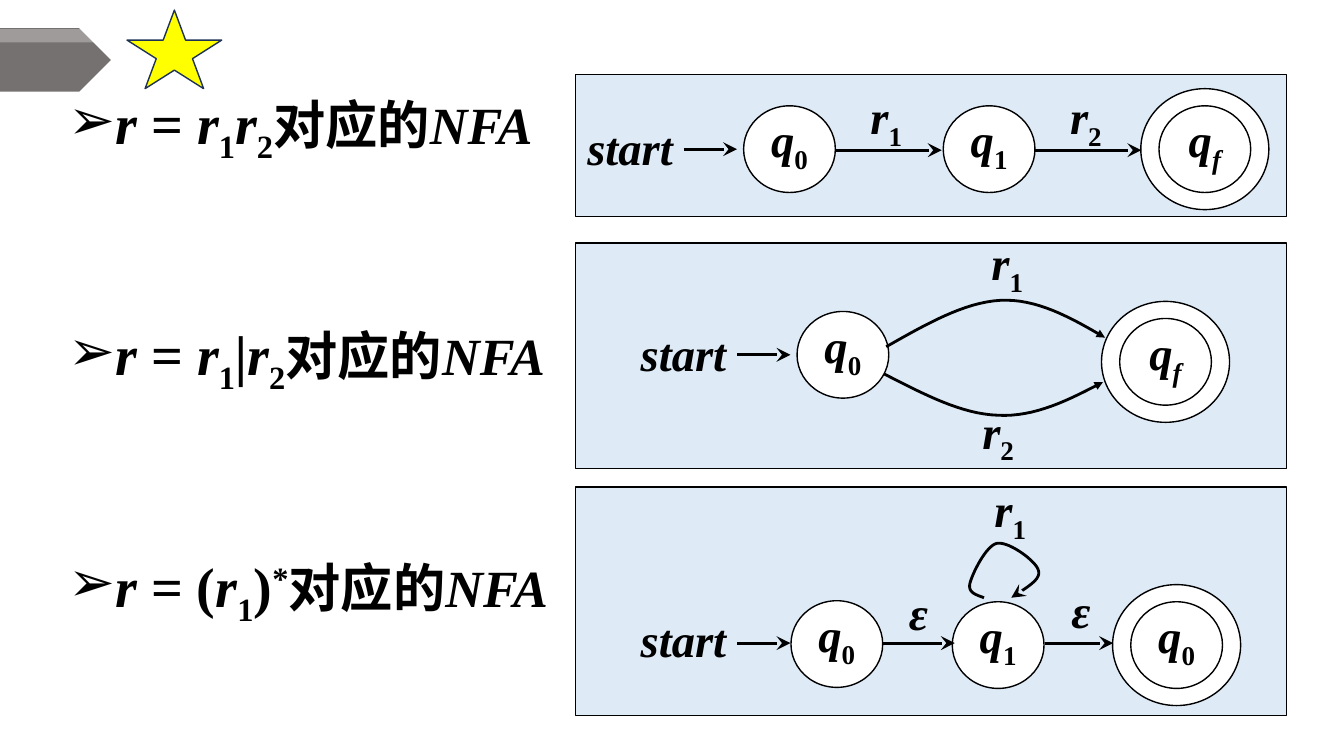
from pptx import Presentation
from pptx.dml.color import RGBColor
from pptx.enum.shapes import MSO_CONNECTOR, MSO_SHAPE
from pptx.enum.text import MSO_ANCHOR, MSO_AUTO_SIZE, PP_ALIGN
from pptx.oxml.ns import qn
from pptx.util import Inches, Pt
from lxml.etree import SubElement

# Content: rich text is a list of (text, style); i = italic, _ = subscript, ^ = superscript
def symbol(letter, index, index_style="_"):
    return [(letter, "i"), (index, index_style)]


R1, R2 = symbol("r", "1"), symbol("r", "2")
Q0, Q1, QF = symbol("q", "0"), symbol("q", "1"), symbol("q", "f", "i_")
START, EPSILON = [("start", "i")], [("ε", "i")]
RULES = [
    [("r ", "i"), ("= ", ""), *R1, *R2],
    [("r ", "i"), ("= ", ""), *R1, ("|r", "i"), ("2", "_")],
    [("r ", "i"), ("= (", ""), *R1, (")", ""), ("*", "^")],
]
RULE_END = [("对应的", ""), ("NFA", "i")]

# Each automaton, in inches: states and labels by centre, arrows by ends,
# curves as a first point followed by cubic segments of three points
AUTOMATA = [
    dict(top=0.74, height=1.41, start=(6.25, 1.46),
         states=[(Q0, 7.83, 1.48), (Q1, 9.81, 1.48)],
         final=(QF, 11.95, 1.48),
         arrows=[(6.78, 7.31, 1.48), (8.28, 9.34, 1.49), (10.26, 11.32, 1.49)],
         labels=[(R1, 8.79, 1.19), (R2, 10.77, 1.19)],
         curves=[]),
    dict(top=2.41, height=2.24, start=(6.78, 3.5),
         states=[(Q0, 8.36, 3.52)],
         final=(QF, 11.56, 3.59),
         arrows=[(7.31, 7.84, 3.52)],
         labels=[(R1, 9.99, 2.64), (R2, 9.9, 4.31)],
         curves=[("triangle", [(8.79, 3.44), (9.18, 3.22), (9.56, 3), (9.92, 2.98),
                               (10.28, 2.96), (10.62, 3.15), (10.96, 3.35)]),
                 ("triangle", [(8.77, 3.71), (9.16, 3.91), (9.54, 4.11), (9.9, 4.12),
                               (10.26, 4.14), (10.6, 3.97), (10.94, 3.79)])]),
    dict(top=4.83, height=2.27, start=(6.78, 6.34),
         states=[(Q0, 8.3, 6.39), (Q1, 9.9, 6.4)],
         final=(Q0, 11.67, 6.4),
         arrows=[(7.31, 7.84, 6.38), (8.76, 9.47, 6.38), (10.36, 11.04, 6.38)],
         labels=[(R1, 10.02, 5.09), (EPSILON, 9.11, 6.07), (EPSILON, 10.72, 6.05)],
         curves=[("stealth", [(9.76, 5.93), (9.68, 5.9), (9.6, 5.88), (9.62, 5.79),
                              (9.64, 5.7), (9.78, 5.41), (9.89, 5.39),
                              (10.01, 5.37), (10.28, 5.57), (10.3, 5.66),
                              (10.33, 5.75), (10.18, 5.83), (10.03, 5.93)])]),
]
PANEL_LEFT, PANEL_WIDTH = 5.71, 7.05
STATE, RING, LABEL = (0.91, 0.86), (1.27, 1.2), (1.06, 0.69)
HEAD_SIZES = {"stealth": "lg", "triangle": "med"}
CURVE_STEPS = 16

deck = Presentation()
deck.slide_width, deck.slide_height = Inches(13.33), Inches(7.5)
page = deck.slides.add_slide(deck.slide_layouts[1])
title = page.shapes.title
title.element.getparent().remove(title.element)


def color(value):
    return RGBColor.from_string(value)


def add_shape(kind, left, top, width, height, fill, line=None):
    shape = page.shapes.add_shape(
        kind, Inches(left), Inches(top), Inches(width), Inches(height))
    shape.shadow.inherit = False
    shape.fill.solid()
    shape.fill.fore_color.rgb = color(fill)
    if line:
        shape.line.color.rgb = color(line)
        shape.line.width = Pt(1)
    else:
        shape.line.fill.background()
    return shape


def add_circle(x, y, size):
    width, height = size
    return add_shape(MSO_SHAPE.OVAL, x - width / 2, y - height / 2,
                     width, height, "FFFFFF", "000000")


def write(para, parts, size):
    para.font.name, para.font.size, para.font.bold = "Times New Roman", Pt(size), True
    para.font.color.rgb = color("000000")
    for text, style in parts:
        span = para.add_run()
        span.text = text
        span.font.italic = "i" in style
        if "_" in style or "^" in style:
            span.font._element.set("baseline", "-25000" if "_" in style else "30000")


def write_centred(shape, parts, anchor):
    frame = shape.text_frame
    frame.word_wrap = False
    frame.vertical_anchor = anchor
    para = frame.paragraphs[0]
    para.alignment = PP_ALIGN.CENTER
    write(para, parts, 33.3)


def add_label(parts, x, y):
    width, height = LABEL
    box = page.shapes.add_textbox(Inches(x - width / 2), Inches(y - height / 2),
                                  Inches(width), Inches(height))
    write_centred(box, parts, MSO_ANCHOR.MIDDLE)


def format_arrow(shape, head):
    shape.line.color.rgb = color("000000")
    shape.line.width = Pt(2)
    size = HEAD_SIZES[head]
    SubElement(shape.line._get_or_add_ln(), qn("a:tailEnd"), type=head, w=size, len=size)


def add_arrow(x1, x2, y):
    arrow = page.shapes.add_connector(
        MSO_CONNECTOR.STRAIGHT, Inches(x1), Inches(y), Inches(x2), Inches(y))
    format_arrow(arrow, "stealth")
    SubElement(arrow._element.spPr, qn("a:effectLst"))


def curve_points(nodes):
    for first in range(0, len(nodes) - 1, 3):
        a, b, c, d = nodes[first:first + 4]
        for step in range(1, CURVE_STEPS + 1):
            t = step / CURVE_STEPS
            u = 1 - t
            yield tuple(Inches(u**3 * a[k] + 3 * u * u * t * b[k] + 3 * u * t * t * c[k]
                               + t**3 * d[k]) for k in (0, 1))


def add_curve(head, nodes):
    builder = page.shapes.build_freeform(*map(Inches, nodes[0]))
    builder.add_line_segments(curve_points(nodes), close=False)
    curve = builder.convert_to_shape()
    curve.shadow.inherit = False
    curve.fill.background()
    format_arrow(curve, head)


# Bulleted rules on the left
body = page.placeholders[1]
body.left, body.top, body.width, body.height = map(Inches, (0.58, 0.84, 8.64, 6.3))
frame = body.text_frame
frame.auto_size = MSO_AUTO_SIZE.NONE
frame.vertical_anchor = MSO_ANCHOR.TOP
for number, rule in enumerate(RULES):
    para = frame.paragraphs[0] if number == 0 else frame.add_paragraph()
    properties = para._p.get_or_add_pPr()
    properties.set("marL", str(Inches(0.4)))
    properties.set("indent", str(-Inches(0.4)))
    SubElement(properties, qn("a:buChar"), char="➢")
    para.line_spacing = 0.9
    para.space_before = Pt(116 if number else 0)
    write(para, rule + RULE_END, 40)
    for span in para.runs[-len(RULE_END):]:
        span.font.size = Pt(37.3)

# Corner tag with its translucent highlight, and the star
add_shape(MSO_SHAPE.PENTAGON, 0, 0.28, 1.1, 0.63, "767171")
gloss = add_shape(MSO_SHAPE.PENTAGON, 0, 0.29, 1.1, 0.13, "FFFFFF")
SubElement(gloss._element.spPr.find(".//" + qn("a:srgbClr")), qn("a:alpha"), val="30000")
add_shape(MSO_SHAPE.STAR_5_POINT, 1.26, 0.1, 0.94, 0.78, "FFFF00", "1E3256")

# Automata on the right
for automaton in AUTOMATA:
    add_shape(MSO_SHAPE.RECTANGLE, PANEL_LEFT, automaton["top"],
              PANEL_WIDTH, automaton["height"], "DEEBF7", "000000")
    add_circle(*automaton["final"][1:], RING)
    for name, x, y in automaton["states"] + [automaton["final"]]:
        write_centred(add_circle(x, y, STATE), name, MSO_ANCHOR.BOTTOM)
    for arrow in automaton["arrows"]:
        add_arrow(*arrow)
    for curve in automaton["curves"]:
        add_curve(*curve)
    for label in [(START, *automaton["start"])] + automaton["labels"]:
        add_label(*label)

deck.save("out.pptx")
